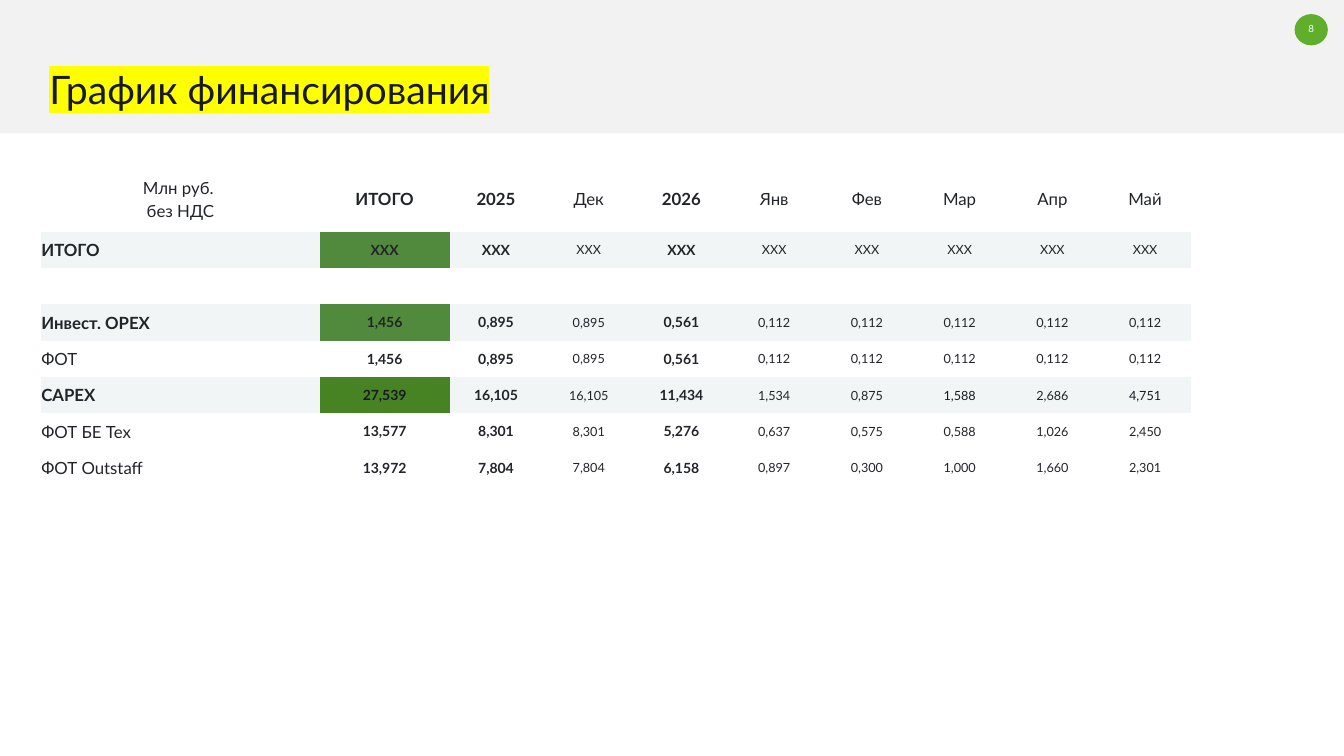
from lxml.etree import SubElement
from pptx import Presentation
from pptx.dml.color import RGBColor
from pptx.enum.shapes import MSO_SHAPE
from pptx.enum.text import MSO_ANCHOR, MSO_AUTO_SIZE, PP_ALIGN
from pptx.oxml.ns import qn
from pptx.util import Inches, Pt

FONT = "Lato"
INK, DARK_INK, WHITE = "222429", "191923", "FFFFFF"
BAND, PALE, BADGE = "F2F2F2", "F2F5F6", "5FAF2D"
GREEN, CAPEX_GREEN = "518A3C", "478322"
PLAIN_TABLE_STYLE = "{2D5ABB26-0587-4C30-8999-92F81FD0307C}"

COLUMN_WIDTHS = [2.76, 1.29] + [0.92] * 8
HEADER_HEIGHT, ROW_HEIGHT = 0.65, 0.36
BOLD_COLUMNS = (1, 2, 4)
HEADER = ["Млн руб. \nбез НДС", "ИТОГО", "2025", "Дек", "2026",
          "Янв", "Фев", "Мар", "Апр", "Май"]
# Label, values, colour of the total cell (only in summary rows)
ROWS = [
    ("ИТОГО", ["ХХХ"] * 9, GREEN),
    ("", [""] * 9, None),
    ("Инвест. ОРЕХ", ["1,456", "0,895", "0,895", "0,561"] + ["0,112"] * 5, GREEN),
    ("ФОТ", ["1,456", "0,895", "0,895", "0,561"] + ["0,112"] * 5, None),
    ("САРЕХ", ["27,539", "16,105", "16,105", "11,434", "1,534",
               "0,875", "1,588", "2,686", "4,751"], CAPEX_GREEN),
    ("ФОТ БЕ Тех", ["13,577", "8,301", "8,301", "5,276", "0,637",
                    "0,575", "0,588", "1,026", "2,450"], None),
    ("ФОТ Outstaff", ["13,972", "7,804", "7,804", "6,158", "0,897",
                      "0,300", "1,000", "1,660", "2,301"], None),
]
DARK_VALUES = {"27,539", "1,588", "4,751"}


def color(hex_string):
    return RGBColor.from_string(hex_string)


def write_text(frame, text, size=12, ink=INK, bold=False, align=PP_ALIGN.LEFT,
               space_before=0, line_spacing=None, highlight=None):
    for index, line in enumerate(text.split("\n")):
        paragraph = frame.add_paragraph() if index else frame.paragraphs[0]
        paragraph.alignment = align
        paragraph.space_before = Pt(space_before)
        if line_spacing:
            paragraph.line_spacing = Pt(line_spacing)
        run = paragraph.add_run()
        run.text = line
        run.font.size = Pt(size)
        run.font.bold = bold
        run.font.color.rgb = color(ink)
        if highlight:
            properties = run.font.fill._xPr
            marker = SubElement(properties, qn("a:highlight"))
            SubElement(marker, qn("a:srgbClr")).set("val", highlight)
        run.font.name = FONT


def set_margins(target, vertical=0):
    target.margin_left = target.margin_right = 0
    target.margin_top = target.margin_bottom = Inches(vertical)


def add_filled_shape(slide, kind, left, top, width, height, fill):
    shape = slide.shapes.add_shape(kind, Inches(left), Inches(top),
                                   Inches(width), Inches(height))
    shape.shadow.inherit = False
    shape.fill.solid()
    shape.fill.fore_color.rgb = color(fill)
    shape.line.fill.background()
    return shape


def add_header(slide):
    title = slide.shapes.title
    title.left, title.top = Inches(0.49), Inches(0.56)
    title.width, title.height = Inches(10.42), Inches(0.52)
    frame = title.text_frame
    set_margins(frame)
    frame.word_wrap = True
    frame.auto_size = MSO_AUTO_SIZE.NONE
    frame.vertical_anchor = MSO_ANCHOR.TOP
    write_text(frame, "График финансирования", size=28, ink=DARK_INK,
               line_spacing=40, highlight="FFFF00")
    band = add_filled_shape(slide, MSO_SHAPE.RECTANGLE, 0, 0, 13.33, 1.32, BAND)
    title.element.addprevious(band.element)  # the band lies behind the title


def add_page_number(slide, number):
    add_filled_shape(slide, MSO_SHAPE.OVAL, 12.84, 0.14, 0.33, 0.31, BADGE)
    box = slide.shapes.add_textbox(Inches(12.83), Inches(0.22),
                                   Inches(0.35), Inches(0.13))
    frame = box.text_frame
    set_margins(frame)
    frame.word_wrap = True
    frame.vertical_anchor = MSO_ANCHOR.MIDDLE
    write_text(frame, number, size=7, ink=WHITE, align=PP_ALIGN.CENTER)


def fill_cell(cell, text, fill=None, **text_format):
    if fill:
        cell.fill.solid()
        cell.fill.fore_color.rgb = color(fill)
    else:
        cell.fill.background()
    cell.vertical_anchor = MSO_ANCHOR.MIDDLE
    set_margins(cell, 0.08 if text else 0)
    if text:
        write_text(cell.text_frame, text, **text_format)


def add_funding_table(slide):
    height = HEADER_HEIGHT + ROW_HEIGHT * len(ROWS)
    frame = slide.shapes.add_table(len(ROWS) + 1, len(HEADER), Inches(0.41), Inches(1.65),
                                   Inches(sum(COLUMN_WIDTHS)), Inches(height))
    table = frame.table
    table.first_row = table.horz_banding = False
    next(frame.element.iter(qn("a:tableStyleId"))).text = PLAIN_TABLE_STYLE
    for column, width in zip(table.columns, COLUMN_WIDTHS):
        column.width = Inches(width)
    for index, row in enumerate(table.rows):
        row.height = Inches(ROW_HEIGHT if index else HEADER_HEIGHT)

    for column, text in enumerate(HEADER):
        fill_cell(table.cell(0, column), text, bold=column in BOLD_COLUMNS,
                  align=PP_ALIGN.CENTER, space_before=2)
    for row, (label, values, total_fill) in enumerate(ROWS, start=1):
        row_fill = PALE if total_fill else None
        fill_cell(table.cell(row, 0), label, row_fill, bold=bool(total_fill))
        for column, value in enumerate(values, start=1):
            bold = column in BOLD_COLUMNS
            fill_cell(table.cell(row, column), value,
                      total_fill if column == 1 else row_fill,
                      size=10 if bold else 9, bold=bold,
                      ink=DARK_INK if value in DARK_VALUES else INK,
                      align=PP_ALIGN.CENTER, space_before=0.1)


def main():
    presentation = Presentation()
    presentation.slide_width, presentation.slide_height = Inches(13.33), Inches(7.5)
    slide = presentation.slides.add_slide(presentation.slide_layouts[5])
    add_header(slide)
    add_page_number(slide, "8")
    add_funding_table(slide)
    presentation.save("out.pptx")


if __name__ == "__main__":
    main()
